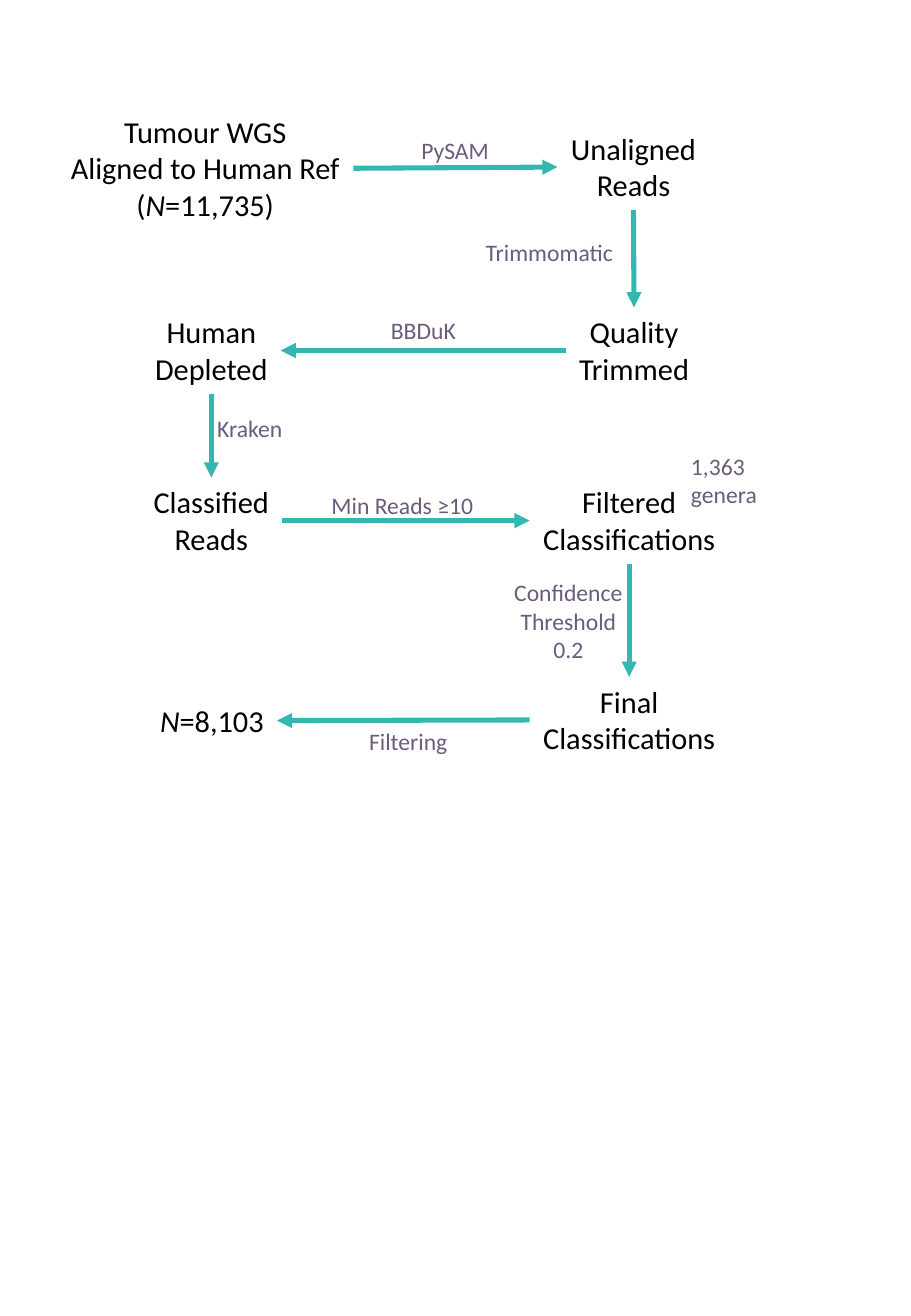
from dataclasses import dataclass

from lxml import etree
from pptx import Presentation
from pptx import util as u
from pptx.dml.color import RGBColor
from pptx.enum import shapes, text
from pptx.oxml import ns

FONT = "Calibri"
BLACK = "000000"
PURPLE = "6C5B7C"
TEAL = "32B8B1"
TOP, LEFT, BOTTOM, RIGHT = range(4)


@dataclass
class Label:
    lines: list[str]
    left: float
    top: float
    width: float
    height: float
    size: int = 14
    color: str = PURPLE
    centered: bool = False


@dataclass
class Stage(Label):
    size: int = 18
    color: str = BLACK
    centered: bool = True


@dataclass
class Step:
    source: str
    source_side: int
    target: str
    target_side: int


STAGES = {
    "tumour": Stage(["Tumour WGS", "Aligned to Human Ref", "(N=11,735)"], 0.47, 0.88, 2.44, 1.01),
    "unaligned": Stage(["Unaligned", "Reads"], 4.59, 1.02, 1.25, 0.71),
    "trimmed": Stage(["Quality", "Trimmed"], 4.66, 2.53, 1.12, 0.71),
    "depleted": Stage(["Human", "Depleted"], 1.17, 2.53, 1.14, 0.71),
    "classified": Stage(["Classified", "Reads"], 1.16, 3.93, 1.16, 0.71),
    "filtered": Stage(["Filtered", "Classifications"], 4.36, 3.93, 1.64, 0.71),
    "final": Stage(["Final", "Classifications"], 4.36, 5.57, 1.64, 0.71),
    "remaining": Stage(["N=8,103"], 1.21, 5.73, 1.07, 0.4),
}

STEPS = [
    Step("tumour", RIGHT, "unaligned", LEFT),
    Step("unaligned", BOTTOM, "trimmed", TOP),
    Step("trimmed", LEFT, "depleted", RIGHT),
    Step("depleted", BOTTOM, "classified", TOP),
    Step("classified", RIGHT, "filtered", LEFT),
    Step("filtered", BOTTOM, "final", TOP),
    Step("final", LEFT, "remaining", RIGHT),
]

NOTES = [
    Label(["PySAM"], 3.37, 1.07, 0.76, 0.34),
    Label(["Trimmomatic"], 3.9, 1.91, 1.26, 0.34),
    Label(["BBDuK"], 3.12, 2.55, 0.74, 0.34),
    Label(["Kraken"], 1.69, 3.36, 0.74, 0.34),
    Label(["Min Reads ≥10"], 2.63, 3.99, 1.38, 0.34),
    Label(["1,363", "genera"], 5.59, 3.67, 0.75, 0.57),
    Label(["Confidence", "Threshold", "0.2"], 4.13, 4.71, 1.1, 0.81, centered=True),
    Label(["Filtering"], 2.94, 5.93, 0.86, 0.34),
]


def rgb(color: str) -> RGBColor:
    return RGBColor.from_string(color)


def split_count(line: str) -> list[tuple[str, bool]]:
    before, symbol, after = line.partition("N=")
    if not symbol:
        return [(line, False)]
    return [(before, False), ("N", True), ("=" + after, False)]


def add_label(slide, label: Label):
    box = slide.shapes.add_textbox(
        u.Inches(label.left), u.Inches(label.top), u.Inches(label.width), u.Inches(label.height)
    )
    frame = box.text_frame
    frame.word_wrap = False
    frame.auto_size = text.MSO_AUTO_SIZE.SHAPE_TO_FIT_TEXT
    frame.text = "\n".join(label.lines)
    for paragraph, line in zip(frame.paragraphs, label.lines):
        paragraph.alignment = text.PP_ALIGN.CENTER if label.centered else text.PP_ALIGN.LEFT
        paragraph.clear()
        for words, italic in split_count(line):
            if not words:
                continue
            run = paragraph.add_run()
            run.text = words
            run.font.name = FONT
            run.font.size = u.Pt(label.size)
            run.font.italic = italic
            run.font.color.rgb = rgb(label.color)
    return box


def add_arrow(slide, source, source_side: int, target, target_side: int) -> None:
    arrow = slide.shapes.add_connector(shapes.MSO_CONNECTOR.STRAIGHT, 0, 0, 0, 0)
    arrow.begin_connect(source, source_side)
    arrow.end_connect(target, target_side)
    arrow.line.color.rgb = rgb(TEAL)
    arrow.line.width = u.Pt(3)
    properties = arrow.element.spPr
    etree.SubElement(properties.find(ns.qn("a:ln")), ns.qn("a:tailEnd"), type="triangle")
    etree.SubElement(properties, ns.qn("a:effectLst"))


def main() -> None:
    presentation = Presentation()
    presentation.slide_width = u.Inches(7.5)
    presentation.slide_height = u.Inches(10.83)
    slide = presentation.slides.add_slide(presentation.slide_layouts[6])
    boxes = {name: add_label(slide, stage) for name, stage in STAGES.items()}
    for step in STEPS:
        add_arrow(slide, boxes[step.source], step.source_side, boxes[step.target], step.target_side)
    for note in NOTES:
        add_label(slide, note)
    presentation.save("out.pptx")


if __name__ == "__main__":
    main()
